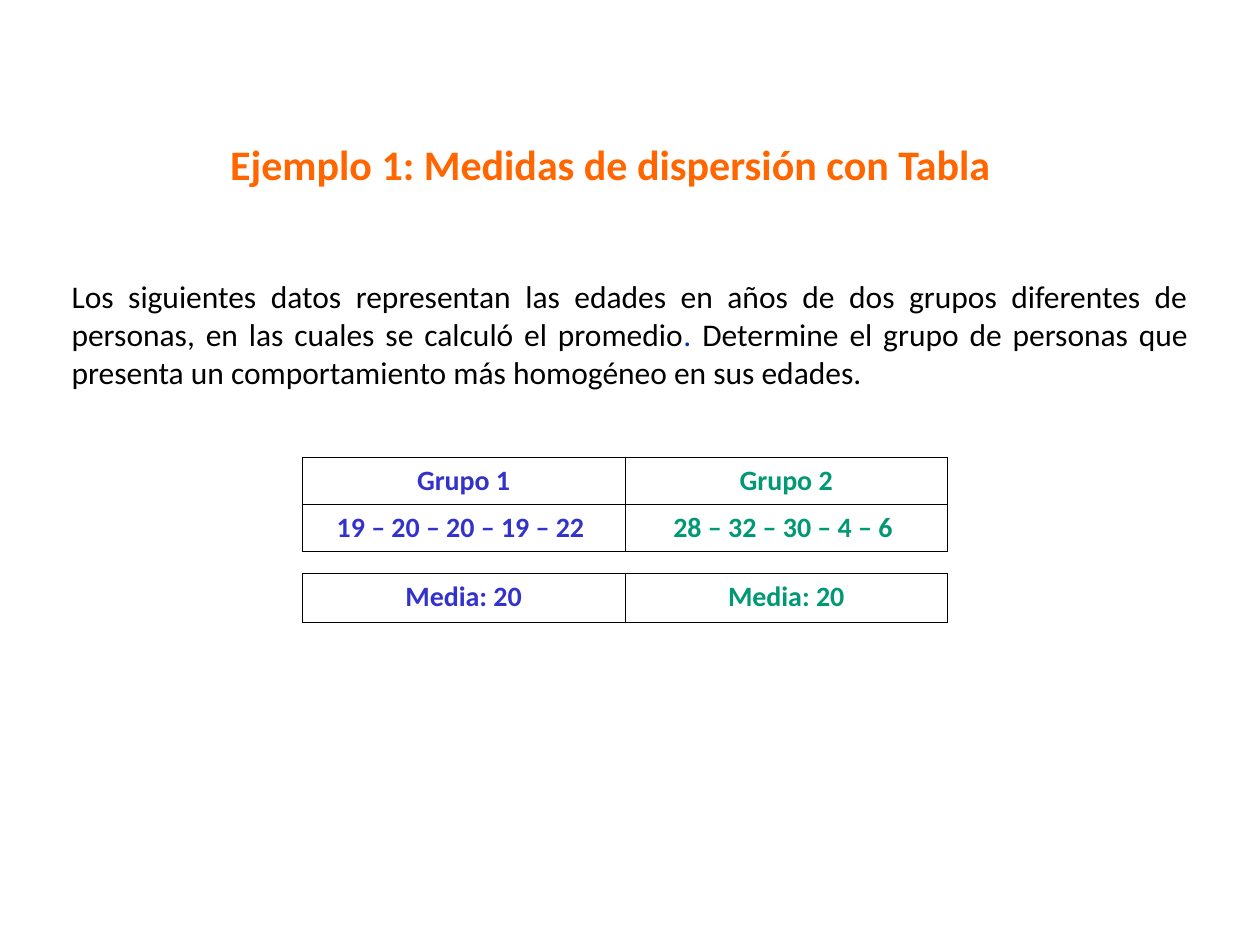
from dataclasses import dataclass

from lxml.etree import SubElement
from pptx import Presentation
from pptx.dml.color import RGBColor as RGB
from pptx.enum.text import MSO_AUTO_SIZE as AutoSize, PP_ALIGN as Align
from pptx.oxml.ns import qn
from pptx.util import Inches, Pt


@dataclass(frozen=True)
class Theme:
    font: str = "Calibri"
    title: RGB = RGB(0xFF, 0x66, 0x00)
    body: RGB = RGB(0x00, 0x00, 0x00)
    stop: RGB = RGB(0x00, 0x33, 0x99)
    groups: tuple = (RGB(0x33, 0x33, 0xCC), RGB(0x00, 0x99, 0x73))
    border: str = "000000"
    border_width: Pt = Pt(0.45)
    title_size: Pt = Pt(24)
    body_size: Pt = Pt(18)
    table_size: Pt = Pt(16)


theme = Theme()
prs = Presentation()
prs.slide_width, prs.slide_height = Inches(10), Inches(7.5)
slide = prs.slides.add_slide(prs.slide_layouts[6])


def add_group_table(top, row_height, rows):
    frame = slide.shapes.add_table(
        len(rows), 2, Inches(2.4), Inches(top), Inches(5.12), Inches(row_height * len(rows))
    )
    table = frame.table
    table.first_row = table.horz_banding = False
    for r, row in enumerate(rows):
        for c, text in enumerate(row):
            cell = table.cell(r, c)
            cell.text = text
            paragraph = cell.text_frame.paragraphs[0]
            paragraph.alignment = Align.CENTER
            font = paragraph.font
            font.name, font.size, font.bold = theme.font, theme.table_size, True
            font.color.rgb = theme.groups[c]
            properties = cell._tc.get_or_add_tcPr()
            for side in ("a:lnL", "a:lnR", "a:lnT", "a:lnB"):
                line = SubElement(properties, qn(side), w=str(theme.border_width))
                fill = SubElement(line, qn("a:solidFill"))
                SubElement(fill, qn("a:srgbClr"), val=theme.border)
            cell.fill.background()


def add_text(left, top, width, height, runs, size, align, bold=False):
    box = slide.shapes.add_textbox(Inches(left), Inches(top), Inches(width), Inches(height))
    box.text_frame.word_wrap = True
    box.text_frame.auto_size = AutoSize.SHAPE_TO_FIT_TEXT
    paragraph = box.text_frame.paragraphs[0]
    paragraph.alignment = align
    font = paragraph.font
    font.name, font.size, font.bold = theme.font, size, bold
    for text, color in runs:
        run = paragraph.add_run()
        run.text = text
        run.font.color.rgb = color


add_group_table(3.63, 0.37, [
    ("Grupo 1", "Grupo 2"),
    ("19 – 20 – 20 – 19 – 22 ", "28 – 32 – 30 – 4 – 6 "),
])

statement = [
    ("Los siguientes datos representan las edades en años de dos grupos diferentes de personas, "
     "en las cuales se calculó el promedio", theme.body),
    (". ", theme.stop),
    ("Determine el grupo de personas que presenta un comportamiento más homogéneo "
     "en sus edades.", theme.body),
]
add_text(0.47, 2.15, 9.06, 1, statement, theme.body_size, Align.JUSTIFY)

add_group_table(4.55, 0.39, [("Media: 20", "Media: 20")])

title = [("Ejemplo 1: Medidas de dispersión con Tabla", theme.title)]
add_text(0.63, 1.05, 8.43, 0.5, title, theme.title_size, Align.CENTER, bold=True)

prs.save("out.pptx")
